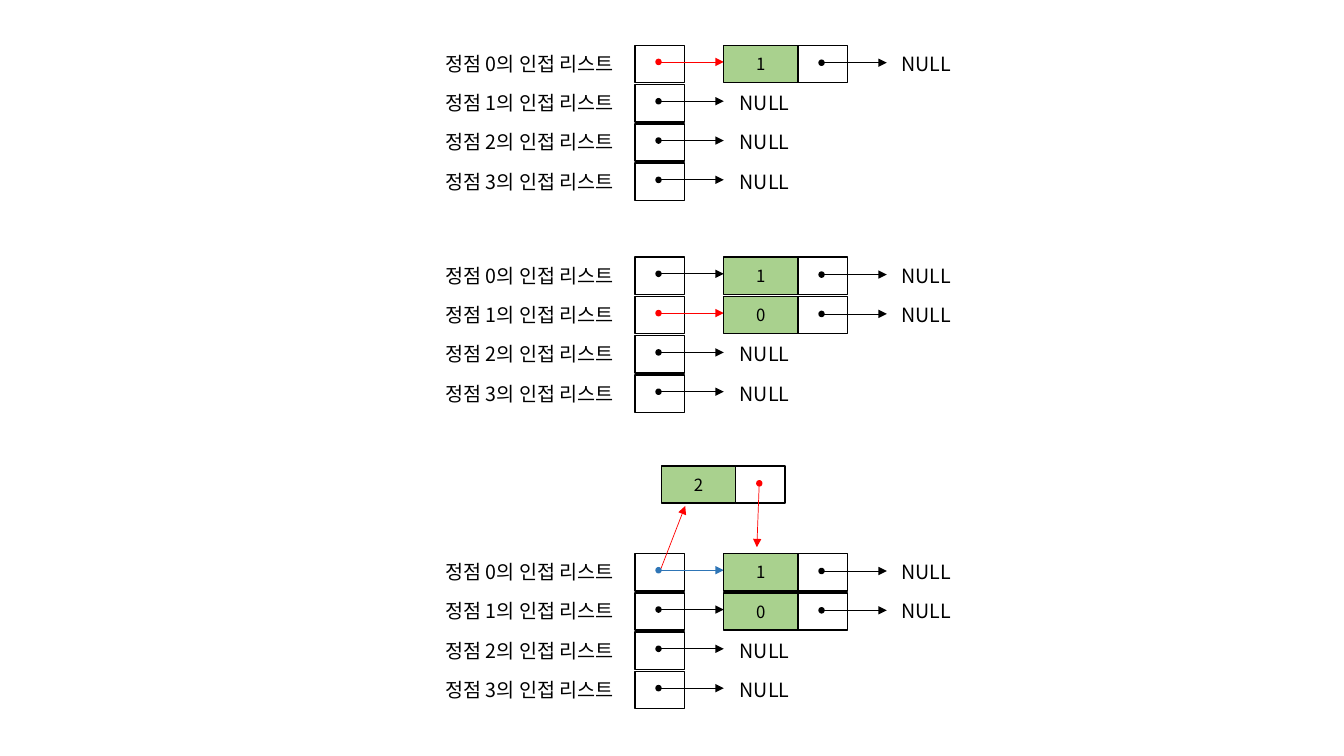
from lxml import etree
from pptx import Presentation
from pptx.dml.color import RGBColor
from pptx.enum.shapes import MSO_CONNECTOR, MSO_SHAPE
from pptx.enum.text import MSO_ANCHOR, MSO_AUTO_SIZE, PP_ALIGN
from pptx.oxml.ns import qn
from pptx.util import Inches, Pt

RECTANGLE, OVAL = MSO_SHAPE.RECTANGLE, MSO_SHAPE.OVAL
STRAIGHT = MSO_CONNECTOR.STRAIGHT
CENTER, MIDDLE = PP_ALIGN.CENTER, MSO_ANCHOR.MIDDLE
GROW = MSO_AUTO_SIZE.SHAPE_TO_FIT_TEXT

BLACK = RGBColor(0x00, 0x00, 0x00)
RED = RGBColor(0xFF, 0x00, 0x00)
BLUE = RGBColor(0x2E, 0x75, 0xB6)
GREEN = RGBColor(0xA9, 0xD1, 0x8E)
FONT = "Noto Sans CJK KR"

COL, ROW = Inches(0.49), Inches(0.39)
CELL_HEIGHT = 0.95
VALUE_WIDTH = 1.5
LABEL_WIDTH, NULL_WIDTH, TEXT_HEIGHT = 5, 2.27, 0.87
HEAD_COL, NODE_COL = 4.63, 6.43
HEAD_NULL_COL, NODE_NULL_COL = 6.12, 9.39
TEXT_DROP = 0.04
DOT_COL, HEAD_DOT_ROW, NODE_DOT_ROW = 0.43, 0.36, 0.38
DOT_WIDTH, DOT_HEIGHT = 0.1, 0.13
ARROW_LENGTH = 1.27

LISTS_COL = 8.22
VERTEX_COUNT = 4
STAGES = [
    (1.15, {0: "1"}, {0: RED}),
    (6.54, {0: "1", 1: "0"}, {1: RED}),
    (14.08, {0: "1", 1: "0"}, {0: BLUE}),
]


def place(col, row, width, height):
    """Turn grid columns and rows into slide lengths."""
    return round(col * COL), round(row * ROW), round(width * COL), round(height * ROW)


def write(frame, words, size):
    """Set centred black text in a frame."""
    frame.text = words
    frame.paragraphs[0].alignment = CENTER
    font = frame.paragraphs[0].runs[0].font
    font.size, font.name, font.color.rgb = Pt(size), FONT, BLACK
    east_asian = etree.SubElement(font._element, qn("a:ea"))
    east_asian.set("typeface", FONT)


def add_label(slide, words, col, row, width):
    """Add a line of text at a grid position."""
    label = slide.shapes.add_textbox(*place(col, row + TEXT_DROP, width, TEXT_HEIGHT))
    label.text_frame.word_wrap = True
    label.text_frame.auto_size = GROW
    write(label.text_frame, words, 14)


def add_outline(slide, kind, box, fill=None, line=BLACK):
    """Add a flat outlined shape, filled when a colour is given."""
    shape = slide.shapes.add_shape(kind, *place(*box))
    shape.shadow.inherit = False
    shape.line.color.rgb, shape.line.width = line, Pt(1)
    if fill is None:
        shape.fill.background()
    else:
        shape.fill.solid()
        shape.fill.fore_color.rgb = fill
    return shape


def add_arrow(slide, start, end, color):
    """Draw a thin arrow between two grid points."""
    points = [round(length) for col, row in (start, end) for length in (col * COL, row * ROW)]
    arrow = slide.shapes.add_connector(STRAIGHT, *points)
    arrow.line.color.rgb, arrow.line.width = color, Pt(0.5)
    line = arrow.line._get_or_add_ln()
    etree.SubElement(line, qn("a:tailEnd")).set("type", "triangle")
    etree.SubElement(arrow._element.spPr, qn("a:effectLst"))


def add_pointer(slide, col, row, dot_row, color=BLACK):
    """Add a pointer cell with its dot and return the dot's corner."""
    add_outline(slide, RECTANGLE, (col, row, 1, CELL_HEIGHT))
    dot_left, dot_top = col + DOT_COL, row + dot_row
    add_outline(slide, OVAL, (dot_left, dot_top, DOT_WIDTH, DOT_HEIGHT), color, color)
    return dot_left, dot_top


def add_link(slide, dot, color=BLACK):
    """Draw the rightward arrow that leaves a pointer dot."""
    left, middle = dot[0] + DOT_WIDTH, dot[1] + DOT_HEIGHT / 2
    add_arrow(slide, (left, middle), (left + ARROW_LENGTH, middle), color)


def add_node(slide, value, col, row, color=BLACK):
    """Add a value cell with its pointer and return the pointer's dot."""
    cell = add_outline(slide, RECTANGLE, (col, row, VALUE_WIDTH, CELL_HEIGHT), GREEN)
    cell.text_frame.vertical_anchor = MIDDLE
    write(cell.text_frame, value, 12)
    return add_pointer(slide, col + VALUE_WIDTH, row, NODE_DOT_ROW, color)


def add_adjacency_lists(slide, col, top, neighbours, link_colors):
    """Draw one stage of the adjacency lists from its top left corner."""
    for vertex in range(VERTEX_COUNT):
        row = top + vertex
        color = link_colors.get(vertex, BLACK)
        add_label(slide, f"정점 {vertex}의 인접 리스트", col, row, LABEL_WIDTH)
        add_link(slide, add_pointer(slide, col + HEAD_COL, row, HEAD_DOT_ROW, color), color)
        null_col = HEAD_NULL_COL
        if vertex in neighbours:
            add_link(slide, add_node(slide, neighbours[vertex], col + NODE_COL, row))
            null_col = NODE_NULL_COL
        add_label(slide, "NULL", col + null_col, row, NULL_WIDTH)


def add_inserted_node(slide, col, lists_top):
    """Draw the new node above a stage with its two insertion arrows."""
    row = lists_top - 2.23
    dot_left, dot_top = add_node(slide, "2", col + 5.17, row, RED)
    dot_center = dot_left + DOT_WIDTH / 2
    add_arrow(slide, (dot_center, dot_top), (dot_center - 0.05, lists_top - 0.16), RED)
    head_dot = (col + HEAD_COL + DOT_COL + DOT_WIDTH, lists_top + 0.38)
    add_arrow(slide, head_dot, (head_dot[0] + 0.49, lists_top - 1.21), RED)


def main():
    """Build the slide of adjacency list insertions."""
    deck = Presentation()
    deck.slide_width, deck.slide_height = Inches(13.33), Inches(7.5)
    slide = deck.slides.add_slide(deck.slide_layouts[6])
    for top, neighbours, link_colors in STAGES:
        add_adjacency_lists(slide, LISTS_COL, top, neighbours, link_colors)
    add_inserted_node(slide, LISTS_COL, STAGES[-1][0])
    deck.save("out.pptx")


main()
